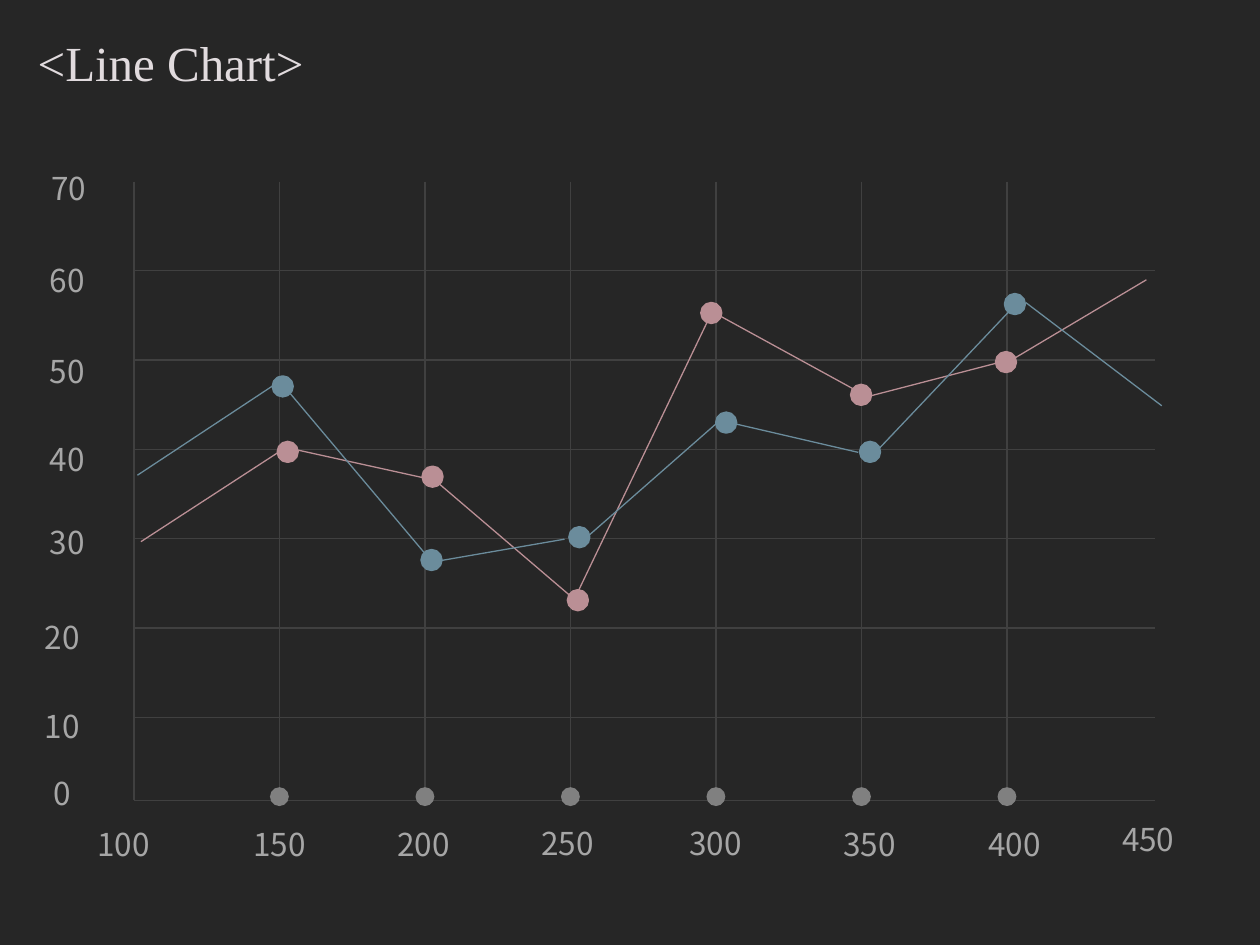
from pptx import Presentation
from pptx import util as u
from pptx.dml.color import RGBColor
from pptx.enum import shapes, text
from pptx.oxml.ns import qn
from lxml import etree

# Content, lengths in centimetres
TITLE = "<Line Chart>"
SANS, SERIF = "Noto Sans CJK KR", "Times New Roman"
GRID, GREY, LABEL = "404040", "808080", "A6A6A6"
DOT = 0.38

# Axis labels: text, left, top
ROWS = [("0", 0.69, 15.47), ("10", 0.51, 14.12), ("20", 0.51, 12.32),
        ("30", 0.61, 10.41), ("40", 0.61, 8.74), ("50", 0.61, 6.96),
        ("60", 0.61, 5.13), ("70", 0.64, 3.28)]
COLS = [("100", 1.57, 16.51), ("150", 4.72, 16.51), ("200", 7.62, 16.51),
        ("250", 10.52, 16.48), ("300", 13.51, 16.48), ("350", 16.61, 16.51),
        ("400", 19.53, 16.51), ("450", 22.23, 16.41)]

# Series: dot centres, and the lines that run between them
SERIES = [
    {"color": "BA8F95",
     "dots": [(5.8, 9.11), (8.72, 9.61), (11.65, 12.1),
              (14.34, 6.31), (17.36, 7.96), (20.28, 7.3)],
     "lines": [(2.84, 10.92, 5.61, 9.12), (5.99, 9.07, 8.53, 9.63),
               (8.79, 9.7, 11.53, 12.04), (14.3, 6.4, 11.66, 11.91),
               (14.48, 6.35, 17.22, 7.85), (17.55, 7.98, 20.09, 7.32),
               (20.47, 7.21, 23.11, 5.64)]},
    {"color": "6B8C9C",
     "dots": [(5.7, 7.79), (8.7, 11.29), (11.68, 10.83),
              (14.64, 8.52), (17.54, 9.11), (20.46, 6.13)],
     "lines": [(2.77, 9.58, 5.51, 7.77), (5.84, 7.92, 8.56, 11.15),
               (8.89, 11.3, 11.38, 10.87), (11.84, 10.82, 14.45, 8.53),
               (14.76, 8.53, 17.3, 9.12), (17.65, 9.12, 20.35, 6.27),
               (20.68, 6.1, 23.42, 8.18)]},
]

# Grid rules
LEFT, RIGHT, TOP, BASE = 2.7, 23.29, 3.66, 16.13
XS = [LEFT + i * (20.3 - LEFT) / 6 for i in range(7)]
YS = [5.46 + 1.8 * i for i in range(6)] + [BASE]


def rgb(color):
    return RGBColor.from_string(color)


def place(shape, x, y, w, h):
    shape.left, shape.top, shape.width, shape.height = map(u.Cm, (x, y, w, h))


def write(shape, words, size=18, font=SANS, color=LABEL, inset=0.25):
    frame = shape.text_frame
    frame.word_wrap = True
    frame.vertical_anchor = text.MSO_ANCHOR.TOP
    frame.margin_left, frame.margin_right = u.Cm(inset), u.Cm(0.25)
    frame.margin_top = frame.margin_bottom = u.Cm(0.13)
    para = frame.paragraphs[0]
    para.alignment = text.PP_ALIGN.LEFT
    run = para.add_run()
    run.text = words
    run.font.size, run.font.name = u.Pt(size), font
    run.font.color.rgb = rgb(color)


def line(x1, y1, x2, y2, color):
    link = slide.shapes.add_connector(
        shapes.MSO_CONNECTOR.STRAIGHT, *map(u.Cm, (x1, y1, x2, y2)))
    link.line.color.rgb = rgb(color)
    link.line.width = u.Pt(0.75)
    etree.SubElement(link._element.spPr, qn("a:effectLst"))


def dot(x, y, color, edge=0):
    disc = slide.shapes.add_shape(
        shapes.MSO_SHAPE.OVAL,
        *map(u.Cm, (x - DOT / 2, y - DOT / 2, DOT, DOT)))
    disc.shadow.inherit = False
    disc.fill.solid()
    disc.fill.fore_color.rgb = rgb(color)
    if edge:
        disc.line.color.rgb = rgb(color)
        disc.line.width = u.Pt(edge)
    else:
        disc.line.fill.background()


deck = Presentation()
deck.slide_width, deck.slide_height = u.Cm(25.4), u.Cm(19.05)
slide = deck.slides.add_slide(deck.slide_layouts[5])
slide.background.fill.solid()
slide.background.fill.fore_color.rgb = rgb("262626")

# Title
head = slide.shapes.title
place(head, 0.51, 0.53, 7.49, 1.45)
write(head, TITLE, size=28, font=SERIF, color="E1DBDE")

# Grid
for x in XS:
    line(x, TOP, x, BASE, GRID)
for y in YS:
    line(LEFT, y, RIGHT, y, GRID)
for x in XS[1:]:
    dot(x, 16.06, GREY)

# Axis labels
for labels, width in ((ROWS, 1.52), (COLS, 2.2)):
    for words, x, y in labels:
        box = slide.shapes.add_textbox(*map(u.Cm, (x, y, width, 1.02)))
        write(box, words, inset=0.39)

# Series
for item in SERIES:
    for spot in item["dots"]:
        dot(*spot, item["color"], edge=2)
    for ends in item["lines"]:
        line(*ends, item["color"])

deck.save("out.pptx")
